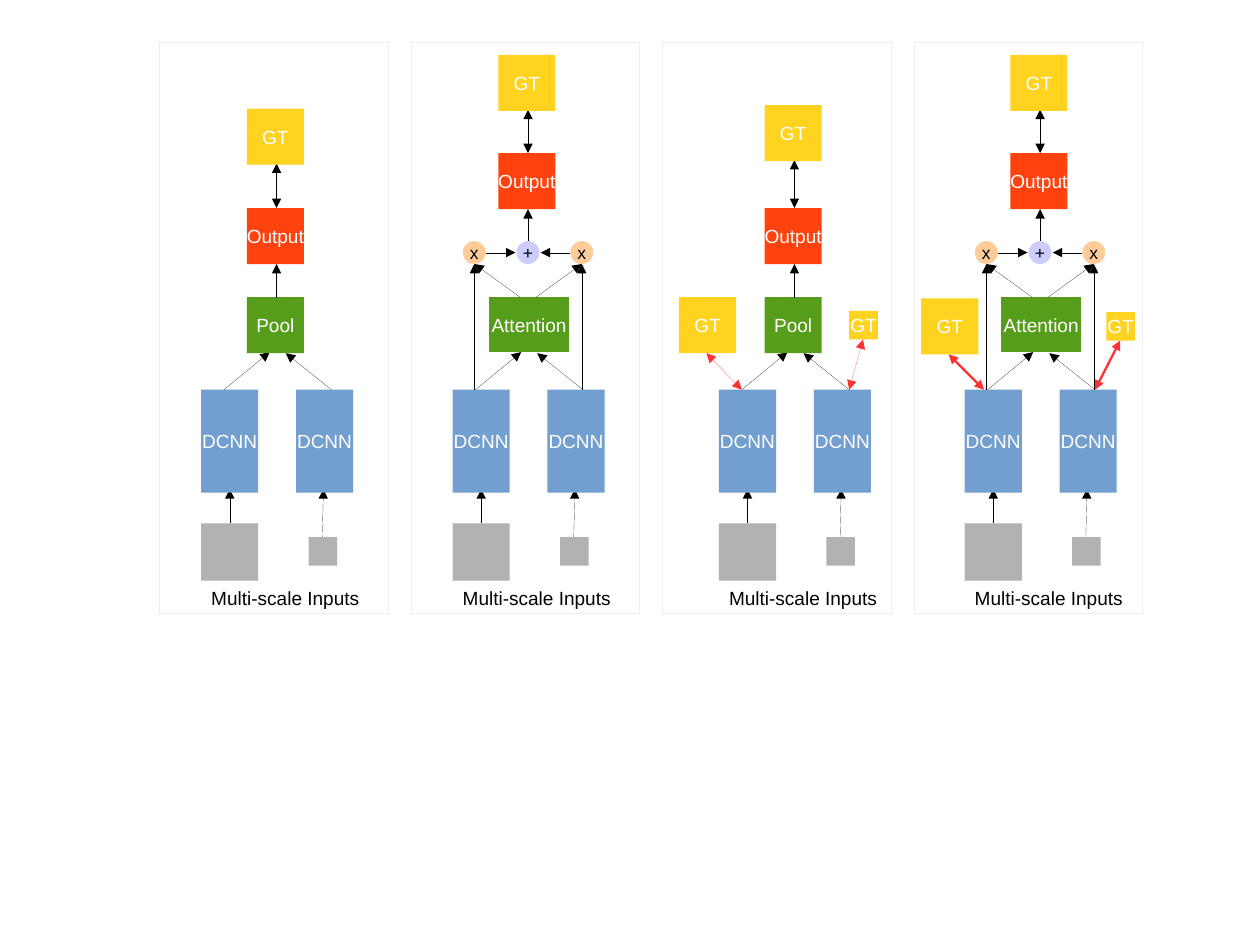
from lxml.etree import SubElement
from pptx import Presentation
from pptx.dml.color import RGBColor
from pptx.enum.shapes import MSO_CONNECTOR, MSO_SHAPE
from pptx.enum.text import MSO_ANCHOR, MSO_AUTO_SIZE, PP_ALIGN
from pptx.oxml.ns import qn
from pptx.util import Cm, Inches, Pt

COLORS = {
    "input": "B2B2B2", "dcnn": "729FCF", "merge": "579D1C", "output": "FF420E",
    "gt": "FFD320", "times": "FFCC99", "plus": "CCCCFF", "frame": "EEEEEE",
    "loss": "FF3333", "black": "000000", "white": "FFFFFF",
}
PANEL_W, PANEL_H, PANEL_STEP = 2, 5, 2.2
AXIS = 0.66
DCNN_TOP = 3.04
HAIRLINE = 0.01


def rgb(name):
    return RGBColor.from_string(COLORS[name])


def format_text(sp, text, color, size):
    tf = sp.text_frame
    tf.word_wrap = False
    p = tf.paragraphs[0]
    p.text = text
    p.font.name = "Arial"
    p.font.size = Pt(size)
    p.font.color.rgb = rgb(color)
    return tf, p


class Region:
    def __init__(self, shapes, left, top):
        self.shapes, self.left, self.top = shapes, left, top

    def at(self, x, y):
        return Inches(self.left + x), Inches(self.top + y)

    def node(self, x, y, w, h, fill, text="", kind=MSO_SHAPE.RECTANGLE,
             color="white", size=12):
        sp = self.shapes.add_shape(kind, *self.at(x, y), Inches(w), Inches(h))
        sp.shadow.inherit = False
        sp.fill.solid()
        sp.fill.fore_color.rgb = rgb(fill)
        sp.line.fill.background()
        if text:
            tf, p = format_text(sp, text, color, size)
            tf.vertical_anchor = MSO_ANCHOR.MIDDLE
            p.alignment = PP_ALIGN.CENTER

    def circle(self, x, fill, text):
        self.node(x, 1.74, 0.2, 0.2, fill, text, MSO_SHAPE.OVAL, "black", 11)

    def arrow(self, x1, y1, x2, y2, both=False, color="black", width=HAIRLINE):
        c = self.shapes.add_connector(
            MSO_CONNECTOR.STRAIGHT, *self.at(x1, y1), *self.at(x2, y2))
        c.line.color.rgb = rgb(color)
        c.line.width = Pt(width)
        ln = c.line._get_or_add_ln()
        for tag in ("a:headEnd", "a:tailEnd") if both else ("a:tailEnd",):
            SubElement(ln, qn(tag)).set("type", "triangle")
        SubElement(c._element.spPr, qn("a:effectLst"))


def draw_backbone(core):
    core.node(0, 4.21, 0.5, 0.5, "input")
    core.node(0.94, 4.33, 0.25, 0.25, "input")
    core.arrow(0.25, 4.21, 0.25, 3.91)
    core.arrow(1.06, 4.33, 1.07, 3.91)
    for x in (0, 0.83):
        core.node(x, DCNN_TOP, 0.5, 0.9, "dcnn", "DCNN")
    core.arrow(0.2, DCNN_TOP, 0.6, 2.71)
    core.arrow(1.14, DCNN_TOP, 0.74, 2.72)
    label = core.shapes.add_textbox(*core.at(-0.01, 4.71), Inches(1.5), Inches(0.29))
    tf, p = format_text(label, "Multi-scale Inputs", "black", 12)
    tf.auto_size = MSO_AUTO_SIZE.SHAPE_TO_FIT_TEXT


def draw_target(core, output_top, gt_top):
    core.node(0.4, output_top, 0.5, 0.49, "output", "Output")
    core.arrow(AXIS, output_top, AXIS, gt_top + 0.48, both=True)
    core.node(0.4, gt_top, 0.5, 0.49, "gt", "GT")


def draw_pool(core, gt_top):
    core.node(0.4, 2.23, 0.5, 0.49, "merge", "Pool")
    core.arrow(AXIS, 2.24, AXIS, 1.94)
    draw_target(core, 1.45, gt_top)


def draw_attention(core, gt_top):
    core.node(0.32, 2.23, 0.7, 0.48, "merge", "Attention")
    draw_target(core, 0.97, gt_top)
    for side in (-1, 1):
        x = AXIS + side * 0.47
        core.circle(x - 0.1, "times", "x")
        core.arrow(AXIS + side * 0.07, 2.23, x, 1.94)
        core.arrow(x, DCNN_TOP, x, 1.94)
        core.arrow(x - side * 0.1, 1.84, AXIS + side * 0.11, 1.84)
    core.circle(AXIS - 0.1, "plus", "+")
    core.arrow(AXIS, 1.74, AXIS, 1.46)


def draw_extra_supervision(core, large, small, top, start, width):
    core.node(large, top, 0.5, 0.49, "gt", "GT")
    core.node(small, top + 0.12, 0.25, 0.25, "gt", "GT")
    for x1, x2, y2 in ((start, large + 0.24, top + 0.49),
                       (1.14, small + 0.12, top + 0.37)):
        core.arrow(x1, DCNN_TOP, x2, y2, True, "loss", width)


def draw_panel(slide, left, top, core_x, draw_merge, gt_top, extra):
    shapes = slide.shapes.add_group_shape().shapes
    core = Region(shapes, left + core_x, top)
    draw_backbone(core)
    draw_merge(core, gt_top)
    if extra:
        draw_extra_supervision(core, *extra)
    frame = shapes.add_shape(MSO_SHAPE.RECTANGLE, Inches(left), Inches(top),
                             Inches(PANEL_W), Inches(PANEL_H))
    frame.shadow.inherit = False
    frame.fill.background()
    frame.line.color.rgb = rgb("frame")
    frame.line.width = Pt(HAIRLINE)


def main():
    prs = Presentation()
    prs.slide_width, prs.slide_height = Cm(28), Cm(21)
    s = prs.slides.add_slide(prs.slide_layouts[6])
    panels = (
        (0.36, draw_pool, 0.58, None),
        (0.36, draw_attention, 0.11, None),
        (0.49, draw_pool, 0.55, (-0.35, 1.14, 2.23, 0.2, HAIRLINE)),
        (0.44, draw_attention, 0.11, (-0.38, 1.24, 2.24, 0.17, 1.45)),
    )
    for i, panel in enumerate(panels):
        draw_panel(s, 1.4 + i * PANEL_STEP, 0.37, *panel)
    prs.save("out.pptx")


if __name__ == "__main__":
    main()
